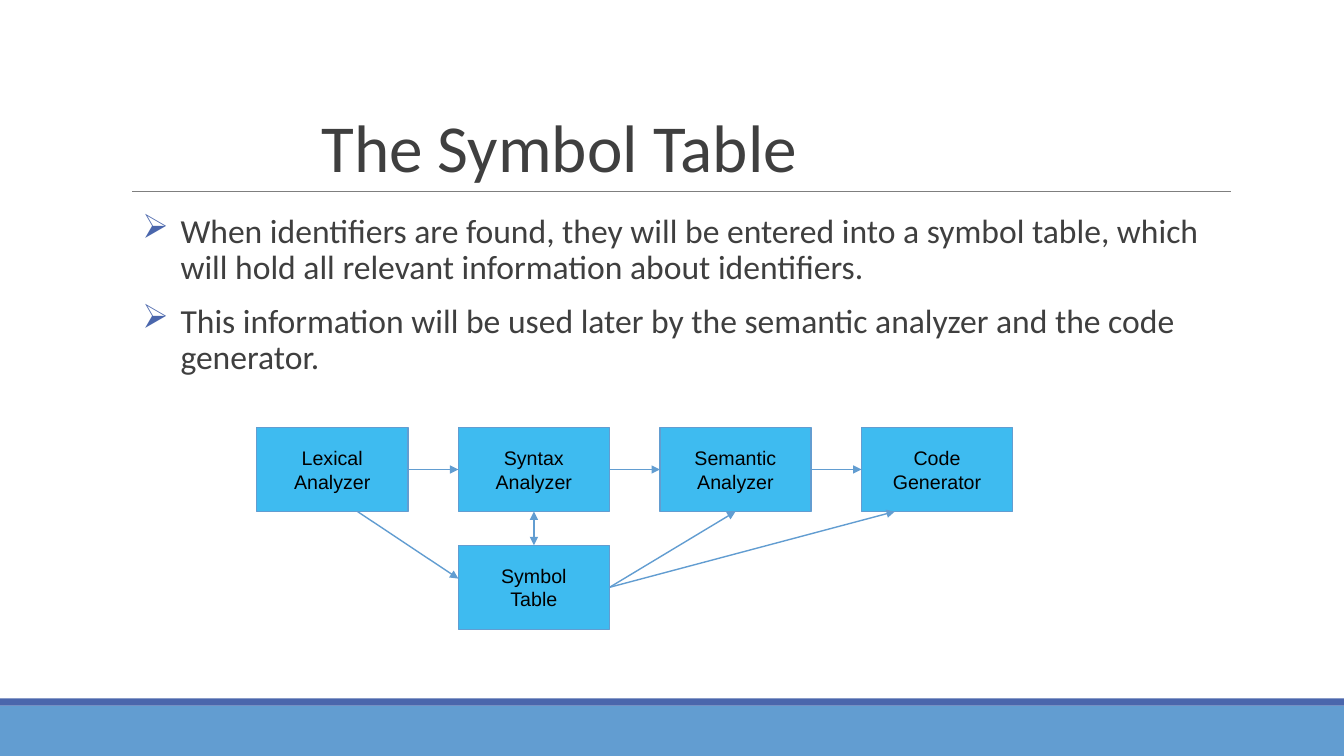
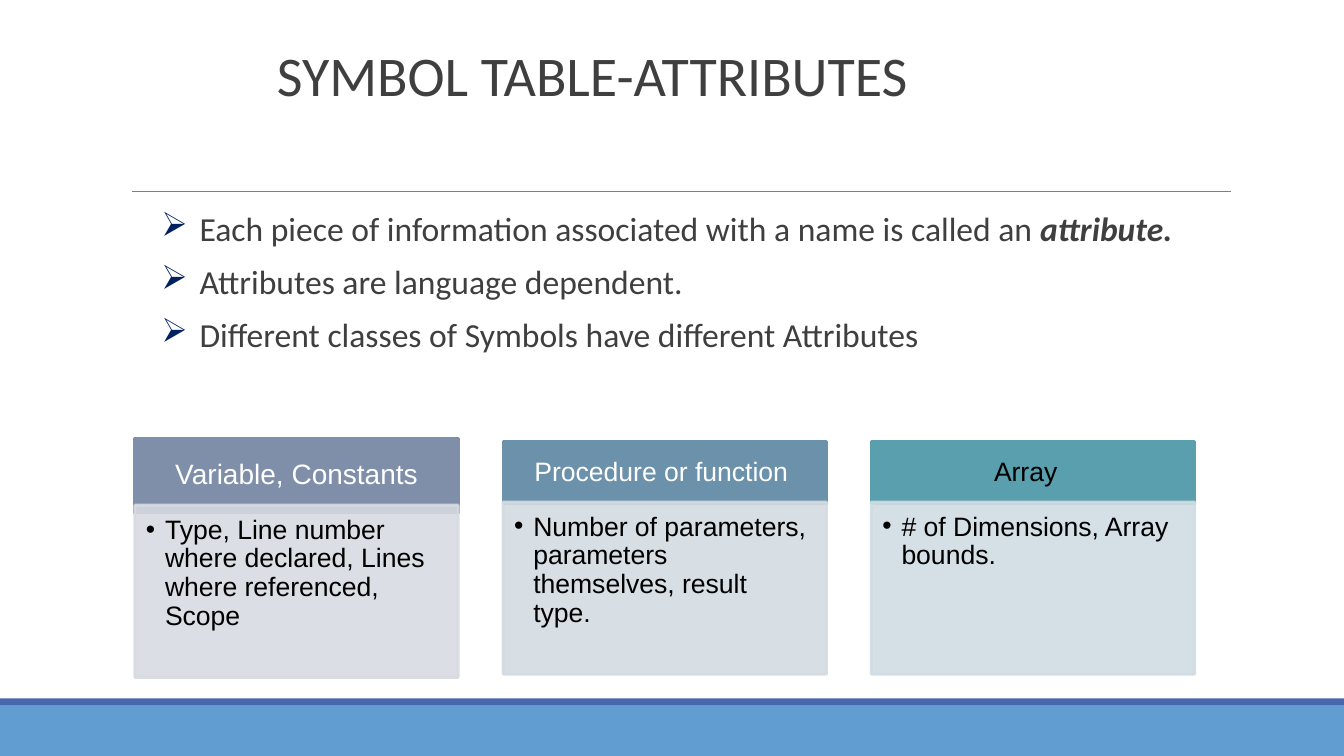
from dataclasses import dataclass

from lxml.etree import SubElement
from pptx import Presentation
from pptx.dml.color import RGBColor
from pptx.enum.shapes import MSO_CONNECTOR, MSO_SHAPE
from pptx.enum.text import MSO_ANCHOR, PP_ALIGN
from pptx.oxml.ns import qn
from pptx.util import Cm, Pt


@dataclass(frozen=True)
class Theme:
    # Colours
    text: str = "3F3F3F"
    black: str = "000000"
    white: str = "FFFFFF"
    band: str = "629DD1"
    stripe: str = "4A66AC"
    navy: str = "002060"
    rule: str = "7F7F7F"
    box: str = "3EBBF0"
    # Fonts and type sizes
    main_font: str = "Calibri"
    diagram_font: str = "Arial"
    title_size: int = 48
    small_title_size: int = 40
    body_size: int = 24
    box_size: int = 14
    card_size: int = 19
    large_card_size: int = 20


class Deck:
    def __init__(self, theme):
        self.t = theme
        self.prs = Presentation()
        self.prs.slide_width, self.prs.slide_height = Cm(33.87), Cm(19.05)
        self.s = None

    def slide(self):
        """Start a slide with the shared bands and title rule."""
        self.s = self.prs.slides.add_slide(self.prs.slide_layouts[6])
        self.rect(0, 17.78, 33.87, 1.27, self.t.band)
        self.rect(0, 17.6, 33.87, 0.18, self.t.stripe)
        self.line((3.33, 4.82), (31.01, 4.82), self.t.rule, 0.75)

    def rect(self, x, y, w, h, fill, line=None, width=1, alpha=None):
        sp = self.s.shapes.add_shape(MSO_SHAPE.RECTANGLE, Cm(x), Cm(y), Cm(w), Cm(h))
        sp.shadow.inherit = False
        sp.fill.solid()
        sp.fill.fore_color.rgb = RGBColor.from_string(fill)
        if line:
            sp.line.color.rgb = RGBColor.from_string(line)
            sp.line.width = Pt(width)
        else:
            sp.line.fill.background()
        if alpha:
            for colour in sp._element.spPr.iter(qn("a:srgbClr")):
                SubElement(colour, qn("a:alpha"), val=str(alpha * 1000))
        return sp

    def line(self, start, end, colour, width, head=False, tail=False):
        ends = [Cm(v) for v in (*start, *end)]
        cn = self.s.shapes.add_connector(MSO_CONNECTOR.STRAIGHT, *ends)
        cn.line.color.rgb = RGBColor.from_string(colour)
        cn.line.width = Pt(width)
        ln = cn.line._get_or_add_ln()
        for tag, wanted in (("a:headEnd", head), ("a:tailEnd", tail)):
            if wanted:
                SubElement(ln, qn(tag), type="triangle")
        SubElement(cn._element.spPr, qn("a:effectLst"))

    def arrow(self, start, end, both=False):
        self.line(start, end, self.t.band, 1, head=both, tail=True)

    def textbox(self, x, y, w, h):
        return self.s.shapes.add_textbox(Cm(x), Cm(y), Cm(w), Cm(h))

    def bullet(self, p, char, font, colour, indent, hang):
        pPr = p._p.get_or_add_pPr()
        pPr.set("marL", str(Cm(indent)))
        pPr.set("indent", str(-Cm(hang)))
        clr = SubElement(pPr, qn("a:buClr"))
        SubElement(clr, qn("a:srgbClr"), val=colour)
        SubElement(pPr, qn("a:buFont"), typeface=font)
        SubElement(pPr, qn("a:buChar"), char=char)

    def fill_text(self, sp, paragraphs, size, colour, font,
                  insets=(0.25, 0.13, 0.25, 0.13), anchor=MSO_ANCHOR.TOP,
                  align=PP_ALIGN.LEFT, spacing=None, before=0, bullet=None):
        """Each paragraph is a list of runs; a run is (text, emphasised)."""
        tf = sp.text_frame
        tf.word_wrap = True
        tf.vertical_anchor = anchor
        (tf.margin_left, tf.margin_top,
         tf.margin_right, tf.margin_bottom) = [Cm(v) for v in insets]
        for i, runs in enumerate(paragraphs):
            p = tf.add_paragraph() if i else tf.paragraphs[0]
            if bullet:
                self.bullet(p, *bullet)
            p.alignment = align
            if spacing:
                p.line_spacing = spacing
            if i and before:
                p.space_before = Pt(before)
            for text, emphasised in runs:
                r = p.add_run()
                r.text = text
                r.font.name = font
                r.font.size = Pt(size)
                r.font.color.rgb = RGBColor.from_string(colour)
                if emphasised:
                    r.font.bold = r.font.italic = True

    def title(self, text, place, size):
        self.fill_text(self.textbox(*place), [[(text, False)]], size, self.t.text,
                       self.t.main_font, anchor=MSO_ANCHOR.BOTTOM, spacing=0.85)

    def body(self, paragraphs, place, bullet_colour):
        # The Wingdings character is the outlined arrowhead
        self.fill_text(self.textbox(*place), paragraphs, self.t.body_size, self.t.text,
                       self.t.main_font, insets=(0, 0.13, 0, 0.13), spacing=0.9,
                       before=12, bullet=("Ø", "Wingdings", bullet_colour, 1.27, 0.96))

    def box(self, words, x, y, w, h):
        sp = self.rect(x, y, w, h, self.t.box, self.t.band)
        self.fill_text(sp, [[(word, False)] for word in words], self.t.box_size,
                       self.t.black, self.t.diagram_font, anchor=MSO_ANCHOR.MIDDLE,
                       align=PP_ALIGN.CENTER)

    def card(self, x, w, heading, detail, head_fill, body_fill, head_colour,
             size, head_top, head_h, body_top, right_inset):
        font = self.t.diagram_font
        head = self.rect(x, head_top, w, head_h, head_fill, head_fill, 2)
        self.fill_text(head, [[(heading, False)]], size, head_colour, font,
                       insets=(0.4, 0.22, right_inset, 0.22), anchor=MSO_ANCHOR.MIDDLE,
                       align=PP_ALIGN.CENTER, spacing=0.9)
        panel = self.rect(x, body_top, w, 4.34, body_fill, body_fill, 2, alpha=89)
        self.fill_text(panel, [[(detail, False)]], self.t.card_size, self.t.black, font,
                       insets=(0.28, 0.28, 0.38, 0.43), spacing=0.9,
                       bullet=("•", font, self.t.black, 0.48, 0.48))


def symbol_table(d):
    d.slide()
    d.title("The Symbol Table", (7.85, 0.79, 23.14, 4.04), d.t.title_size)
    d.body([
        [("When identifiers are found, they will be entered into a symbol table, "
          "which will hold all relevant information about identifiers.", False)],
        [("This information will be used later by the semantic analyzer and the code "
          "generator.", False)],
    ], (3.28, 5.28, 27.99, 5.03), d.t.stripe)

    # Compiler phases in a row, with the table below the second
    w, h, pitch, top, low = 3.81, 2.12, 5.08, 10.77, 13.74
    lefts = [6.47 + i * pitch for i in range(4)]
    lexical, syntax, semantic, code = lefts
    phases = [("Lexical", "Analyzer"), ("Syntax", "Analyzer"),
              ("Semantic", "Analyzer"), ("Code", "Generator")]
    for x, words in zip(lefts, phases):
        d.box(words, x, top, w, h)
    d.box(("Symbol", "Table"), syntax, low, w, h)

    # Flow between phases, then to and from the table
    for x, following in zip(lefts, lefts[1:]):
        d.arrow((x + w, top + h / 2), (following, top + h / 2))
    bottom = top + h
    table_exit = (syntax + w, low + h / 2)
    d.arrow((lexical + w * 2 / 3, bottom), (syntax, low + 0.84))
    d.arrow((syntax + w / 2, bottom), (syntax + w / 2, low), both=True)
    d.arrow(table_exit, (semantic + w / 2, bottom))
    d.arrow(table_exit, (code + 0.84, bottom))


def attributes(d):
    t = d.t
    d.slide()
    d.title("SYMBOL TABLE-ATTRIBUTES", (6.73, 0.86, 19.18, 1.98), t.small_title_size)
    d.body([
        [("Each piece of information associated with a name is called an ", False),
         ("attribute.", True)],
        [("Attributes are language dependent.", False)],
        [("Different classes of Symbols have different Attributes", False)],
    ], (3.76, 5.23, 27, 4.45), t.navy)

    # Cards: the first has a taller heading
    tall = (t.large_card_size, 11.05, 1.88, 12.73)
    short = (t.card_size, 11.13, 1.57, 12.65)
    cards = [
        ("Variable, Constants",
         "Type, Line number where declared, Lines where referenced, Scope",
         "7F8FA9", "D7DBE1", t.white, *tall, 0.4),
        ("Procedure or function",
         "Number of parameters, parameters themselves, result type.",
         "6C91AA", "D3DBE1", t.white, *short, 0.58),
        ("Array", "# of Dimensions, Array bounds.",
         "599FAD", "CFDDE2", t.black, *short, 0.77),
    ]
    for i, card in enumerate(cards):
        d.card(3.4 + i * 9.28, 8.15, *card)


def main():
    d = Deck(Theme())
    symbol_table(d)
    attributes(d)
    d.prs.save("out.pptx")


if __name__ == "__main__":
    main()
